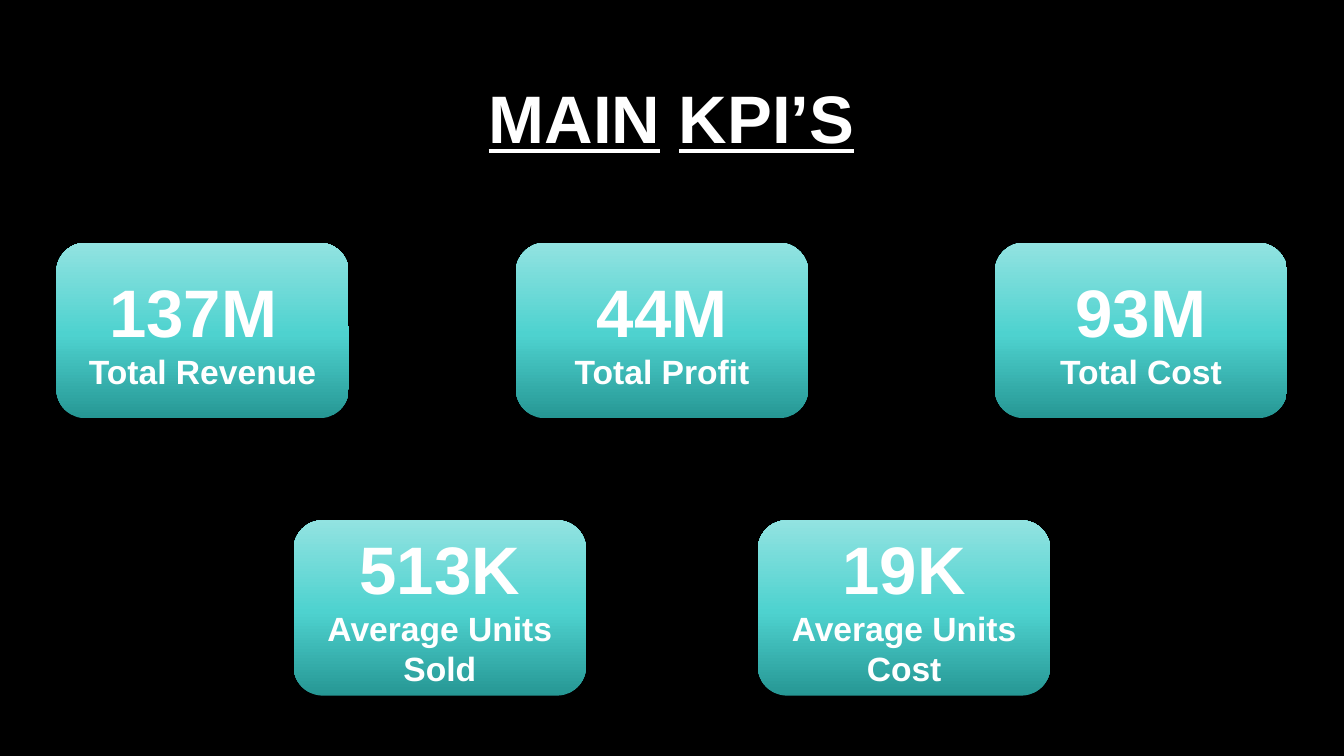
from copy import deepcopy
from dataclasses import dataclass

from pptx import Presentation
from pptx.dml.color import RGBColor
from pptx.enum.shapes import MSO_SHAPE
from pptx.enum.text import MSO_ANCHOR, PP_ALIGN
from pptx.oxml.ns import qn
from pptx.util import Cm, Pt

ROUNDED = MSO_SHAPE.ROUNDED_RECTANGLE
MIDDLE = MSO_ANCHOR.MIDDLE
CENTER = PP_ALIGN.CENTER


@dataclass(frozen=True)
class Theme:
    font: str = "Arial"
    background: RGBColor = RGBColor(0x00, 0x00, 0x00)
    text: RGBColor = RGBColor(0xFF, 0xFF, 0xFF)
    gradient: tuple = ((0, "269794"), (0.48, "4ED2CF"), (1, "92E3E1"))
    large: int = 48
    label: int = 24


theme = Theme()


def add_text(paragraph, text, size=theme.large, underline=False):
    paragraph.alignment = CENTER
    run = paragraph.add_run()
    run.text = text
    run.font.name = theme.font
    run.font.size = Pt(size)
    run.font.bold = True
    run.font.underline = underline
    run.font.color.rgb = theme.text


def fill_gradient(shape):
    shape.fill.gradient()
    shape.fill.gradient_angle = 90
    stop_list = shape.element.spPr.find(qn("a:gradFill")).find(qn("a:gsLst"))
    stop_list.append(deepcopy(stop_list[0]))
    for stop, (position, color) in zip(shape.fill.gradient_stops, theme.gradient):
        stop.position = position
        stop.color.rgb = RGBColor.from_string(color)


presentation = Presentation()
presentation.slide_width = Cm(33.87)
presentation.slide_height = Cm(19.05)
slide = presentation.slides.add_slide(presentation.slide_layouts[6])
slide.background.fill.solid()
slide.background.fill.fore_color.rgb = theme.background

title = slide.shapes.add_textbox(Cm(6.83), Cm(1.8), Cm(20.19), Cm(2.2))
title.text_frame.word_wrap = True
for word, underline in (("MAIN", True), (" ", False), ("KPI’S", True)):
    add_text(title.text_frame.paragraphs[0], word, underline=underline)

card_rows = (
    (6.12, ((1.42, "137M ", "Total Revenue"),
            (13, "44M", "Total Profit"),
            (25.07, "93M", "Total Cost"))),
    (13.11, ((7.4, "513K", "Average Units Sold"),
             (19.1, "19K", "Average Units Cost"))),
)
for top, cards in card_rows:
    for left, value, label in cards:
        card = slide.shapes.add_shape(ROUNDED, Cm(left), Cm(top), Cm(7.37), Cm(4.42))
        card.shadow.inherit = False
        card.line.fill.background()
        fill_gradient(card)
        frame = card.text_frame
        frame.word_wrap = True
        frame.vertical_anchor = MIDDLE
        add_text(frame.paragraphs[0], value)
        add_text(frame.add_paragraph(), label, size=theme.label)

presentation.save("out.pptx")
